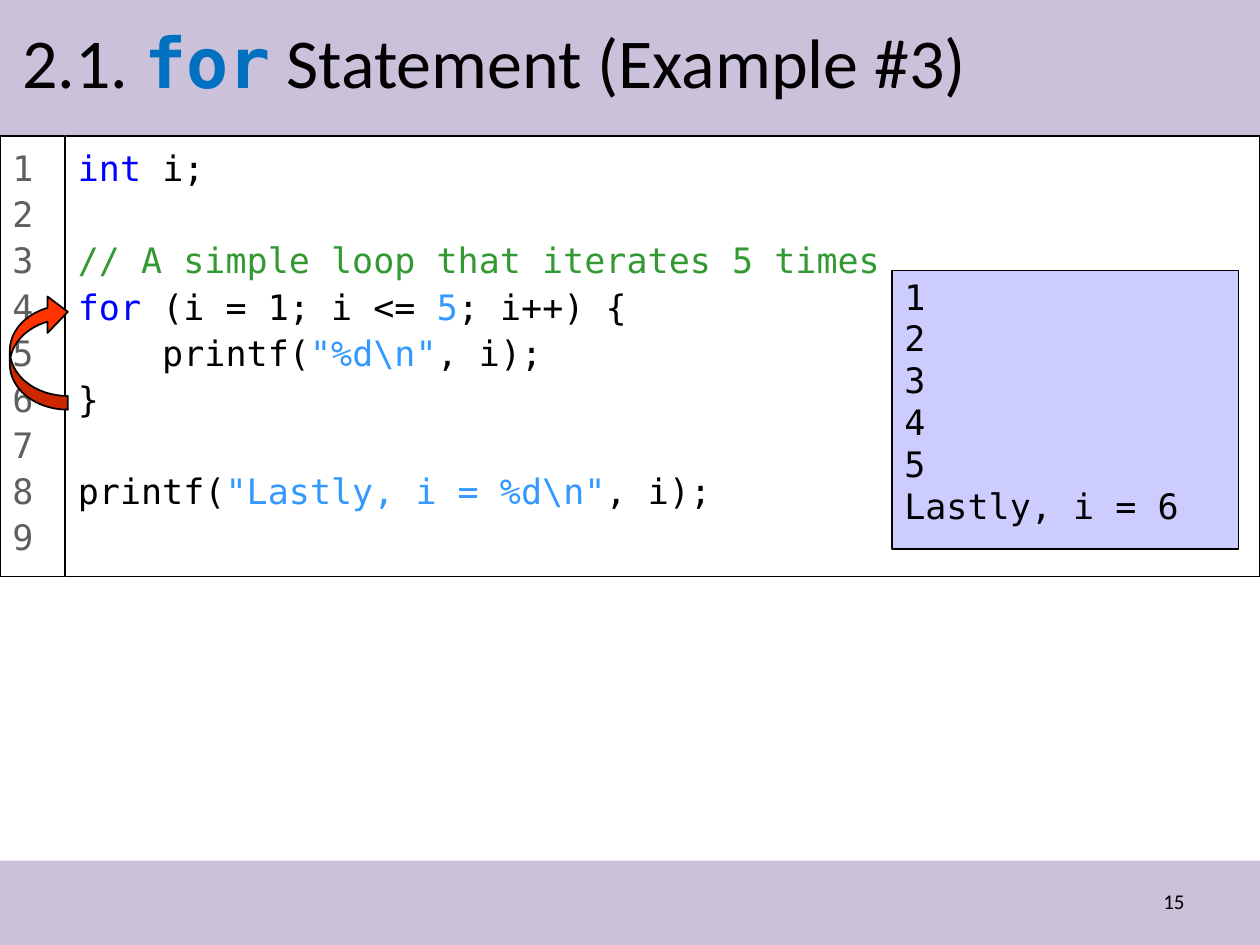
from dataclasses import dataclass

from lxml.etree import SubElement
from pptx import Presentation
from pptx.dml.color import RGBColor
from pptx.enum.shapes import MSO_SHAPE
from pptx.enum.text import MSO_ANCHOR, MSO_AUTO_SIZE, PP_ALIGN
from pptx.oxml.ns import qn
from pptx.util import Cm, Pt


@dataclass(frozen=True)
class Theme:
    sans: str = "Calibri"
    mono: str = "DejaVu Sans Mono"
    title_size: int = 40
    code_size: int = 20
    footer_size: int = 12
    band: str = "CCC1DA"
    paper: str = "FFFFFF"
    ink: str = "000000"
    line_number: str = "5F5F5F"
    title_accent: str = "0070C0"
    keyword: str = "0000FF"
    comment: str = "339933"
    literal: str = "3399FF"
    output: str = "CCCCFF"
    arrow: str = "FF3300"


THEME = Theme()
SLIDE_WIDTH, SLIDE_HEIGHT = 25.4, 19.05
HEADER_HEIGHT, FOOTER_TOP = 2.74, 17.35
CODE_HEIGHT = 8.89
CODE_LEFT = 1.32

# Each code line is a list of (text, colour) pieces
CODE = [
    [("int ", THEME.keyword), ("i;", THEME.ink)],
    [],
    [("// A simple loop that iterates 5 times", THEME.comment)],
    [("for", THEME.keyword), (" (i = 1; i <= ", THEME.ink),
     ("5", THEME.literal), ("; i++) {", THEME.ink)],
    [("    printf(", THEME.ink), ('"%d\\n"', THEME.literal), (", i);", THEME.ink)],
    [("}", THEME.ink)],
    [],
    [("printf(", THEME.ink), ('"Lastly, i = %d\\n"', THEME.literal),
     (", i);", THEME.ink)],
]
LINE_NUMBERS = [[(str(n), THEME.line_number)] for n in range(1, 10)]
OUTPUT = [[(text, THEME.ink)] for text in [*"12345", "Lastly, i = 6"]]


def style_run(run, font, size, color, bold=False):
    run.font.name = font
    run.font.size = Pt(size)
    run.font.color.rgb = RGBColor.from_string(color)
    run.font.bold = bold


def add_block(slide, kind, left, top, width, height, fill, line_width=None):
    block = slide.shapes.add_shape(kind, Cm(left), Cm(top), Cm(width), Cm(height))
    block.shadow.inherit = False
    block.fill.solid()
    block.fill.fore_color.rgb = RGBColor.from_string(fill)
    if line_width is None:
        block.line.fill.background()
    else:
        block.line.color.rgb = RGBColor.from_string(THEME.ink)
        block.line.width = Pt(line_width)
    return block


def size_empty_line(paragraph):
    """Give a code line without text the height of the other lines."""
    end = SubElement(paragraph._p, qn("a:endParaRPr"), sz=str(THEME.code_size * 100))
    SubElement(end, qn("a:latin"), typeface=THEME.mono)


def add_listing(slide, lines, left, top, width, height, fill, spacing,
                gap=0, right=0.25, vertical=0.13):
    panel = add_block(slide, MSO_SHAPE.RECTANGLE, left, top, width, height, fill, 0.75)
    frame = panel.text_frame
    frame.word_wrap = True
    frame.vertical_anchor = MSO_ANCHOR.TOP
    frame.margin_left, frame.margin_right = Cm(0.25), Cm(right)
    frame.margin_top = frame.margin_bottom = Cm(vertical)
    for index, pieces in enumerate(lines):
        paragraph = frame.add_paragraph() if index else frame.paragraphs[0]
        paragraph.alignment = PP_ALIGN.LEFT
        paragraph.line_spacing = spacing
        if index and gap:
            paragraph.space_before = Pt(gap)
        for text, color in pieces:
            run = paragraph.add_run()
            run.text = text
            style_run(run, THEME.mono, THEME.code_size, color)
        if not pieces:
            size_empty_line(paragraph)


def add_title(slide):
    title = slide.shapes.title
    title.left, title.top, title.width, title.height = Cm(0.2), Cm(0.2), Cm(24.97), Cm(2.06)
    title.element.getparent().append(title.element)  # in front of the header band
    frame = title.text_frame
    frame.auto_size = MSO_AUTO_SIZE.NONE
    frame.vertical_anchor = MSO_ANCHOR.MIDDLE
    paragraph = frame.paragraphs[0]
    paragraph.alignment = PP_ALIGN.LEFT
    for text, font, color, bold in [
        ("2.1. ", THEME.sans, THEME.ink, False),
        ("for", THEME.mono, THEME.title_accent, True),
        (" Statement (Example #3)", THEME.sans, THEME.ink, False),
    ]:
        run = paragraph.add_run()
        run.text = text
        style_run(run, font, THEME.title_size, color, bold)


def add_page_number(slide, number):
    page = slide.shapes.add_textbox(Cm(18.21), Cm(17.65), Cm(5.92), Cm(1.02))
    frame = page.text_frame
    frame.text = number
    frame.word_wrap = True
    frame.vertical_anchor = MSO_ANCHOR.MIDDLE
    frame.paragraphs[0].alignment = PP_ALIGN.RIGHT
    style_run(frame.paragraphs[0].runs[0], THEME.sans, THEME.footer_size, THEME.ink)


def add_loop_arrow(slide):
    arrow = add_block(slide, MSO_SHAPE.CURVED_LEFT_ARROW, 0.2, 5.92, 1.17, 2.34,
                      THEME.arrow, 1)
    for index, value in enumerate((0.236, 0.629, 0.352)):
        arrow.adjustments[index] = value
    transform = arrow.element.spPr.find(qn("a:xfrm"))
    transform.set("flipH", "1")
    transform.set("flipV", "1")


def main():
    deck = Presentation()
    deck.slide_width, deck.slide_height = Cm(SLIDE_WIDTH), Cm(SLIDE_HEIGHT)
    slide = deck.slides.add_slide(deck.slide_layouts[5])

    # Header and footer
    for top, height in [(0, HEADER_HEIGHT), (FOOTER_TOP, SLIDE_HEIGHT - FOOTER_TOP)]:
        add_block(slide, MSO_SHAPE.RECTANGLE, 0, top, SLIDE_WIDTH, height, THEME.band)
    add_page_number(slide, "15")
    add_title(slide)

    # Code with its line numbers
    add_listing(slide, LINE_NUMBERS, 0, HEADER_HEIGHT, 1.3, CODE_HEIGHT,
                THEME.paper, 1.1, right=0)
    add_listing(slide, CODE, CODE_LEFT, HEADER_HEIGHT, SLIDE_WIDTH - CODE_LEFT,
                CODE_HEIGHT, THEME.paper, 1.1)

    # Program output and the jump back to the loop head
    add_listing(slide, OUTPUT, 17.98, 5.46, 6.99, 5.61, THEME.output, 0.8,
                gap=4.7, vertical=0.25)
    add_loop_arrow(slide)

    deck.save("out.pptx")


if __name__ == "__main__":
    main()
